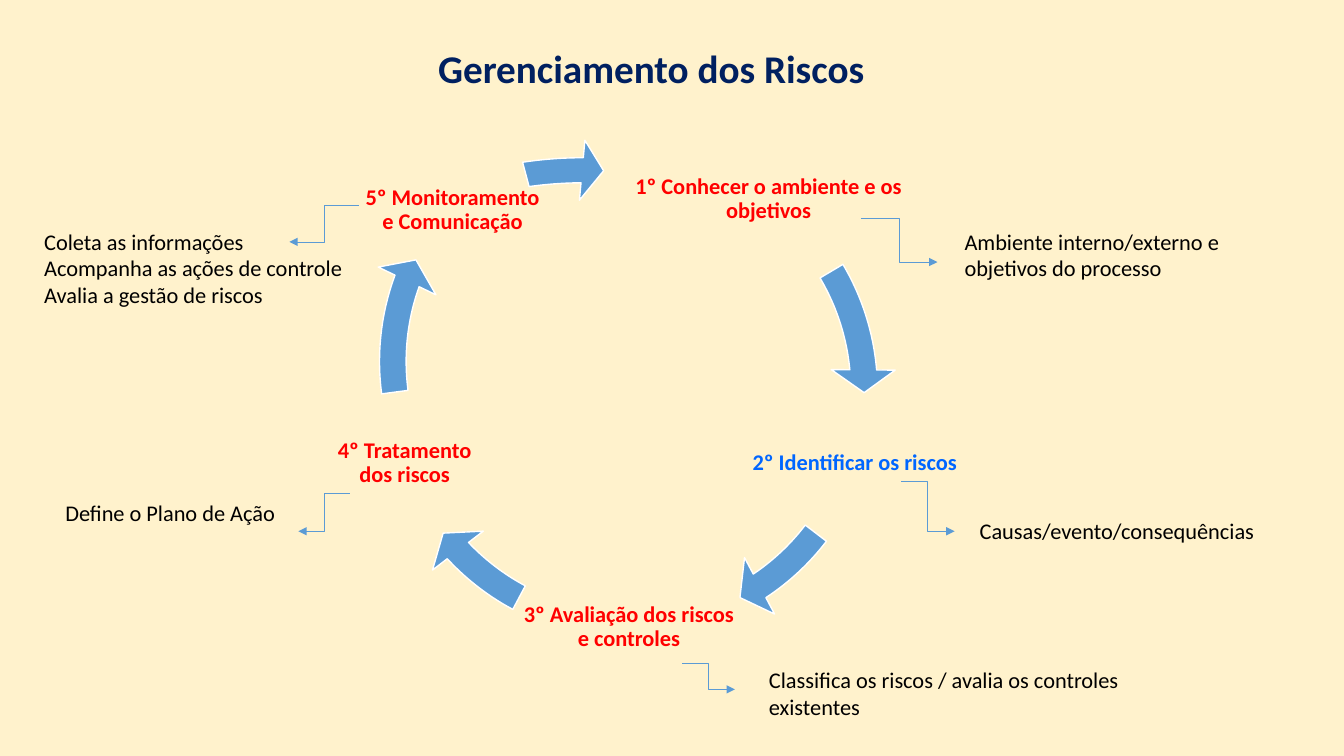
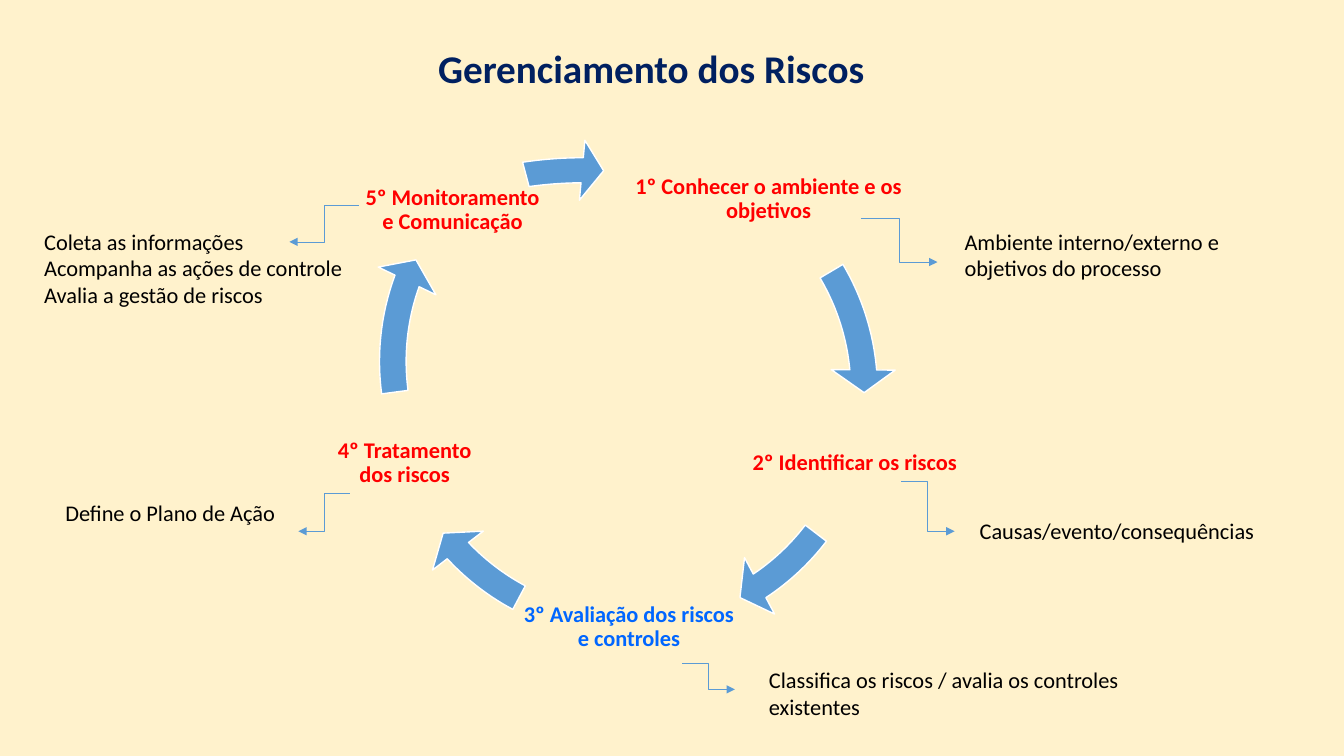
from lxml import etree
from pptx import Presentation
from pptx import util as u
from pptx.dml.color import RGBColor
from pptx.enum import shapes, text
from pptx.oxml.ns import qn

CREAM = RGBColor(0xFF, 0xF2, 0xCC)
NAVY = RGBColor(0x00, 0x20, 0x60)
RED = RGBColor(0xFF, 0x00, 0x00)
BLUE = RGBColor(0x00, 0x66, 0xFF)
STEEL = RGBColor(0x5B, 0x9B, 0xD5)
WHITE = RGBColor(0xFF, 0xFF, 0xFF)
BLACK = RGBColor(0x00, 0x00, 0x00)

CELL = u.Inches(0.1)
COLS, ROWS = 133.33, 75
FACE = "Calibri"
BODY = {"name": FACE, "size": u.Pt(16), "bold": False}
STRONG = {**BODY, "bold": True}
HEAD = {**STRONG, "size": u.Pt(28)}
MID = {"alignment": text.PP_ALIGN.CENTER, "line_spacing": 0.9}
FRAME = {"word_wrap": True, "vertical_anchor": text.MSO_ANCHOR.MIDDLE}
SIDES = ("margin_left", "margin_top", "margin_right", "margin_bottom")
TIGHT = {**FRAME, **dict.fromkeys(SIDES, u.Inches(0.02))}
GROW = {"word_wrap": True, "auto_size": text.MSO_AUTO_SIZE.SHAPE_TO_FIT_TEXT}

RING = (36, 12.3, 52.9, 52.9)
STEPS = [
    ("1º Conhecer o ambiente e os objetivos", (60, 12.7, 32.5, 14.1),
     RING, (212.96, 197.64)),
    ("2º Identificar os riscos", (71, 38.9, 27.6, 14.1),
     RING, (33.8, 22.45)),
    ("3º Avaliação dos riscos e controles", (51.4, 55.2, 22, 14.1),
     RING, (82.2, 70.85)),
    ("4º Tratamento dos riscos", (33.1, 38.9, 14.1, 14.1),
     (35.8, 9.4, 52.9, 52.9), (120.03, 103.48)),
    ("5º Monitoramento e Comunicação", (35.6, 16.1, 18.6, 9.6),
     (25.3, 13.9, 65.2, 49.8), (161.77, 153.04)),
]
NOTES = [
    (["Causas/evento/consequências"],
     (96.2, 50.8, 29.8, 3.7), (89.4, 47.8, 94.7, 52.7)),
    (["Ambiente interno/externo e objetivos do processo"],
     (94.7, 22.1, 29.8, 6.4), (85.4, 21.7, 93, 26)),
    (["Classifica os riscos / avalia os controles existentes"],
     (75.3, 65.6, 38.8, 6.4), (67.7, 65.8, 72.9, 68.4)),
    (["Define o Plano de Ação"],
     (5.5, 49, 28.4, 3.7), (34.7, 48.9, 29.6, 52.7)),
    (["Coleta as informações", "Acompanha as ações de controle",
      "Avalia a gestão de riscos"],
     (3.4, 22.1, 32.6, 9.1), (35.6, 20.4, 28.7, 24)),
]


def cells(*spans):
    return [round(n * CELL) for n in spans]


def apply(thing, look):
    for key, val in look.items():
        setattr(thing, key, val)


class Deck:
    """Holds the shared style and the current slide, placed on a grid of 0.1 inch cells."""

    def __init__(self):
        self.show = Presentation()
        self.show.slide_width, self.show.slide_height = cells(COLS, ROWS)
        self.slide = None

    def page(self, title):
        self.slide = self.show.slides.add_slide(self.show.slide_layouts[6])
        fill = self.slide.background.fill
        fill.solid()
        fill.fore_color.rgb = CREAM
        self.words([title], (7.1, 4, 115, 6), HEAD, NAVY, FRAME, MID)

    def words(self, lines, box, font, tint, frame, para):
        body = self.slide.shapes.add_textbox(*cells(*box)).text_frame
        apply(body, frame)
        body.text = "\n".join(lines)
        for item in body.paragraphs:
            apply(item, para)
            apply(item.font, font)
            item.font.color.rgb = tint

    def step(self, label, box, tint):
        self.words([label], box, STRONG, tint, TIGHT, MID)

    def note(self, lines, box):
        self.words(lines, box, BODY, BLACK, GROW, {})

    def arc(self, box, turn):
        kind = shapes.MSO_SHAPE.CIRCULAR_ARROW
        arrow = self.slide.shapes.add_shape(kind, *cells(*box))
        arrow.shadow.inherit = False
        for spot, val in enumerate((0.05, 3.35, *turn, 0.06)):
            arrow.adjustments[spot] = val
        arrow.fill.solid()
        arrow.fill.fore_color.rgb = STEEL
        arrow.line.color.rgb = WHITE
        arrow.line.width = u.Pt(1)

    def link(self, ends):
        kind = shapes.MSO_CONNECTOR.ELBOW
        wire = self.slide.shapes.add_connector(kind, *cells(*ends))
        wire.line.color.rgb = STEEL
        wire.line.width = u.Pt(0.5)
        props = wire._element.spPr
        etree.SubElement(props.find(qn("a:ln")), qn("a:tailEnd"), type="triangle")
        etree.SubElement(props, qn("a:effectLst"))


def main():
    deck = Deck()
    for active in (1, 2):
        deck.page("Gerenciamento dos Riscos")
        for spot, (label, box, ring, turn) in enumerate(STEPS):
            deck.step(label, box, BLUE if spot == active else RED)
            deck.arc(ring, turn)
        for lines, box, ends in NOTES:
            deck.note(lines, box)
            deck.link(ends)
    deck.show.save("out.pptx")


if __name__ == "__main__":
    main()
